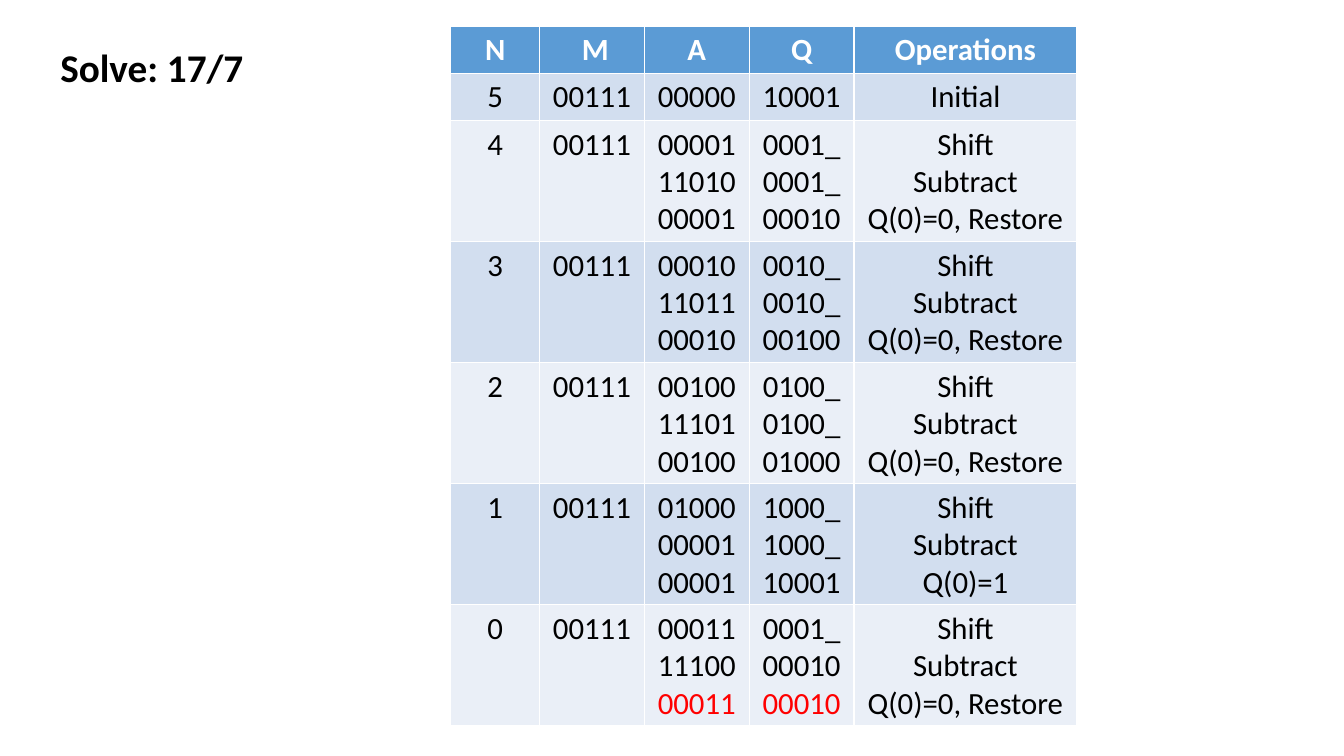
from pptx import Presentation
from pptx.dml.color import RGBColor
from pptx.enum.text import MSO_AUTO_SIZE as AutoSize, PP_ALIGN as Align
from pptx.util import Cm, Pt

BLACK = RGBColor(0x00, 0x00, 0x00)
WHITE = RGBColor(0xFF, 0xFF, 0xFF)
RED = RGBColor(0xFF, 0x00, 0x00)
HEADER_BLUE = RGBColor(0x5B, 0x9B, 0xD5)
BANDS = (RGBColor(0xD2, 0xDE, 0xEF), RGBColor(0xEA, 0xEF, 0xF7))

HEADINGS = ("N", " M", "A", "Q", "Operations")
DIVISOR = "00111"
RESTORED = "Shift\nSubtract\nQ(0)=0, Restore"
KEPT = "Shift\nSubtract\nQ(0)=1"
STEPS = (
    ("5", DIVISOR, "00000", "10001", "Initial"),
    ("4", DIVISOR, "00001\n11010\n00001", "0001_\n0001_\n00010", RESTORED),
    ("3", DIVISOR, "00010\n11011\n00010", "0010_\n0010_\n00100", RESTORED),
    ("2", DIVISOR, "00100\n11101\n00100", "0100_\n0100_\n01000", RESTORED),
    ("1", DIVISOR, "01000\n00001\n00001", "1000_\n1000_\n10001", KEPT),
    ("0", DIVISOR, "00011\n11100\n00011", "0001_\n00010\n00010", RESTORED),
)
RESULT_COLUMNS = (2, 3)
COLUMN_SHARES = (0.88, 1.04, 1.04, 1.04, 2.21)
ROW_HEIGHTS = {1: Cm(1.18), 3: Cm(3.05)}


def write(frame, text, size=22, color=BLACK, bold=False, align=Align.CENTER, last_color=None):
    """Fill a text frame with one paragraph per line of text."""
    frame.text = text
    for paragraph in frame.paragraphs:
        paragraph.alignment = align
        for run in paragraph.runs:
            run.font.name = "Calibri"
            run.font.size = Pt(size)
            run.font.bold = bold
            run.font.color.rgb = color
    if last_color is not None:
        frame.paragraphs[-1].runs[0].font.color.rgb = last_color


def add_problem(slide, left, top, width, height):
    """Place the problem statement in the given box."""
    frame = slide.shapes.add_textbox(left, top, width, height).text_frame
    frame.word_wrap = False
    frame.auto_size = AutoSize.SHAPE_TO_FIT_TEXT
    write(frame, "Solve: 17/7", size=28, bold=True, align=Align.LEFT)


def add_division(slide, left, top, width, height):
    """Place the table of restoring division steps in the given box."""
    rows = (HEADINGS, *STEPS)
    table = slide.shapes.add_table(len(rows), len(HEADINGS), left, top, width, height).table
    for column, share in zip(table.columns, COLUMN_SHARES):
        column.width = int(width * share / sum(COLUMN_SHARES))
    for r, values in enumerate(rows):
        table.rows[r].height = ROW_HEIGHTS[values[-1].count("\n") + 1]
        for c, value in enumerate(values):
            cell = table.cell(r, c)
            cell.fill.solid()
            if r == 0:
                cell.fill.fore_color.rgb = HEADER_BLUE
                write(cell.text_frame, value, color=WHITE, bold=True)
            else:
                cell.fill.fore_color.rgb = BANDS[(r - 1) % 2]
                is_result = r == len(STEPS) and c in RESULT_COLUMNS
                write(cell.text_frame, value, last_color=RED if is_result else None)


def main():
    """Build and save the slide."""
    deck = Presentation()
    deck.slide_width, deck.slide_height = Cm(33.87), Cm(19.05)
    slide = deck.slides.add_slide(deck.slide_layouts[6])
    add_problem(slide, Cm(1.27), Cm(0.97), Cm(5.18), Cm(1.45))
    add_division(slide, Cm(11.36), Cm(0.67), Cm(15.78), Cm(17.61))
    deck.save("out.pptx")


if __name__ == "__main__":
    main()
